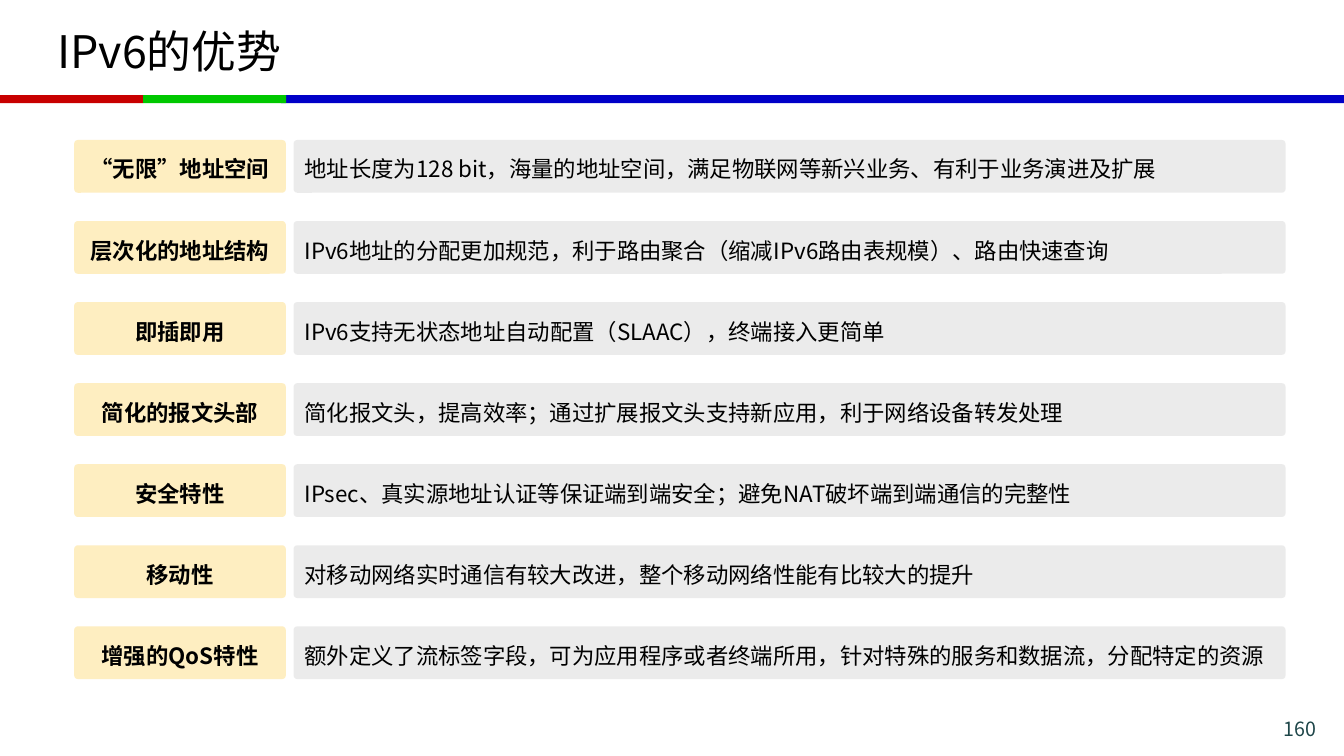
"""Build the slide on the advantages of IPv6."""
from lxml.etree import SubElement
from pptx import Presentation
from pptx.dml.color import RGBColor
from pptx.enum.shapes import MSO_SHAPE as Shape
from pptx.enum.text import MSO_ANCHOR as Anchor, PP_ALIGN as Align
from pptx.oxml.ns import qn
from pptx.util import Pt

FONT = "Noto Sans CJK SC"
COLORS = {
    "red": "C80000", "green": "00C800", "blue": "0000C8", "black": "000000",
    "label": "FEEEC1", "detail": "D9D9D9", "number": "1E4649",
}
BANDS = [("blue", 200.9, 759.1), ("red", 0, 102.2), ("green", 102.2, 102.2)]
ADVANTAGES = [
    ("“无限”地址空间", "地址长度为128 bit，海量的地址空间，满足物联网等新兴业务、有利于业务演进及扩展"),
    ("层次化的地址结构", "IPv6地址的分配更加规范，利于路由聚合（缩减IPv6路由表规模）、路由快速查询"),
    ("即插即用", "IPv6支持无状态地址自动配置（SLAAC），终端接入更简单"),
    ("简化的报文头部", "简化报文头，提高效率；通过扩展报文头支持新应用，利于网络设备转发处理"),
    ("安全特性", "IPsec、真实源地址认证等保证端到端安全；避免NAT破坏端到端通信的完整性"),
    ("移动性", "对移动网络实时通信有较大改进，整个移动网络性能有比较大的提升"),
    ("增强的QoS特性", "额外定义了流标签字段，可为应用程序或者终端所用，针对特殊的服务和数据流，分配特定的资源"),
]
ROW_TOP, ROW_PITCH, ROW_HEIGHT = 100, 57.9, 37.7


def write_text(shape, text, size, color="black", align=Align.LEFT, anchor=Anchor.MIDDLE, bold=False):
    """Fill a shape with one styled paragraph and return that paragraph."""
    frame = shape.text_frame
    frame.word_wrap = True
    frame.vertical_anchor = anchor
    paragraph = frame.paragraphs[0]
    paragraph.text = text
    paragraph.alignment = align
    font = paragraph.font
    font.name = FONT
    font.size = Pt(size)
    font.bold = bold
    font.color.rgb = RGBColor.from_string(COLORS[color])
    SubElement(paragraph._p.pPr.find(qn("a:defRPr")), qn("a:ea"), typeface=FONT)
    return paragraph


def add_text(slide, box, text, size, **style):
    """Add a text box with one paragraph."""
    write_text(slide.shapes.add_textbox(*map(Pt, box)), text, size, **style)


def add_block(slide, kind, box, color):
    """Add a filled shape without outline or shadow."""
    shape = slide.shapes.add_shape(kind, *map(Pt, box))
    shape.shadow.inherit = False
    shape.fill.solid()
    shape.fill.fore_color.rgb = RGBColor.from_string(COLORS[color])
    shape.line.fill.background()
    return shape


def add_card(slide, box, color, text, **style):
    """Add a slightly rounded card with text."""
    card = add_block(slide, Shape.ROUNDED_RECTANGLE, box, color)
    card.adjustments[0] = 0.07
    write_text(card, text, 16, **style).line_spacing = 1.2
    return card


def set_opacity(shape, percent):
    """Make the solid fill of a shape partly transparent."""
    color = shape._element.spPr.find(qn("a:solidFill"))[0]
    SubElement(color, qn("a:alpha"), val=str(percent * 1000))


def add_advantage(slide, top, label, detail):
    """Add one row: a label card and its detail card."""
    card = add_card(slide, (53, top, 151.2, ROW_HEIGHT), "label", label, align=Align.CENTER, bold=True)
    card.text_frame.margin_left = card.text_frame.margin_right = 0
    set_opacity(add_card(slide, (209.7, top, 708.6, ROW_HEIGHT), "detail", detail), 50)


def main():
    """Build and save the slide."""
    presentation = Presentation()
    presentation.slide_width, presentation.slide_height = Pt(960), Pt(540)
    slide = presentation.slides.add_slide(presentation.slide_layouts[6])
    for color, left, width in BANDS:
        add_block(slide, Shape.RECTANGLE, (left, 67.9, width, 5.8), color)
    add_text(slide, (33.8, 5.8, 892, 60.5), "IPv6的优势", 32)
    add_text(slide, (854, 508.3, 93.6, 20.2), "160", 14, color="number", align=Align.RIGHT, anchor=Anchor.TOP)
    for row, (label, detail) in enumerate(ADVANTAGES):
        add_advantage(slide, ROW_TOP + row * ROW_PITCH, label, detail)
    presentation.save("out.pptx")


if __name__ == "__main__":
    main()
